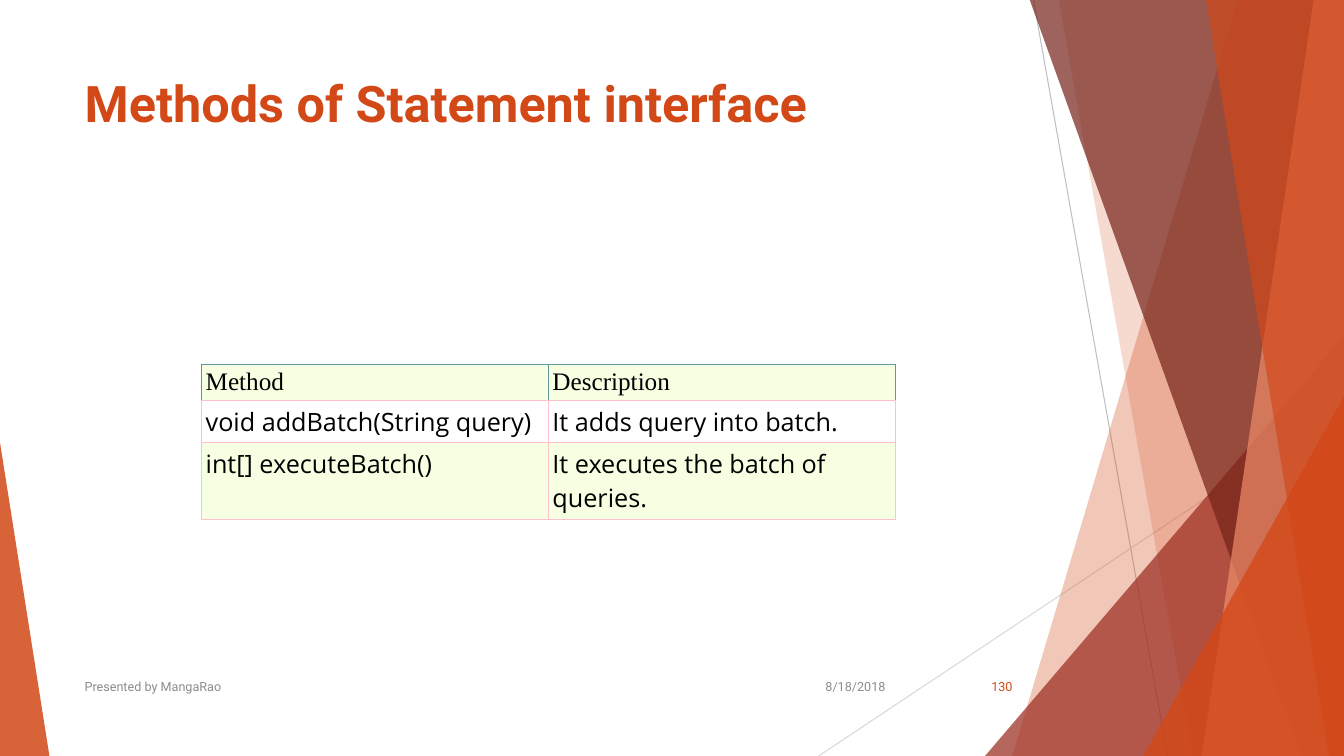
from lxml.etree import SubElement
from pptx import Presentation
from pptx.dml.color import RGBColor as RGB
from pptx.enum.shapes import MSO_CONNECTOR as LINE, MSO_SHAPE as SHAPE
from pptx.enum.text import MSO_ANCHOR as ANCHOR, PP_ALIGN as ALIGN
from pptx.oxml import parse_xml
from pptx.oxml.ns import nsdecls, qn
from pptx.util import Inches, Pt

RUST = RGB(0xD3, 0x48, 0x17)
BRICK = RGB(0x9B, 0x2D, 0x1F)
MAROON = RGB(0x74, 0x22, 0x17)
SALMON = RGB(0xEF, 0x8C, 0x6A)
SILVER = RGB(0xBF, 0xBF, 0xBF)
PALE = RGB(0xD9, 0xD9, 0xD9)
GRAY = RGB(0x8C, 0x8C, 0x8C)
LIME = RGB(0xF6, 0xFF, 0xE1)
TEAL = RGB(0x60, 0x97, 0x9A)
PINK = RGB(0xFF, 0xC0, 0xCB)
WHITE = RGB(0xFF, 0xFF, 0xFF)
BLACK = RGB(0, 0, 0)

ROWS = [
    ("Method", "Description"),
    ("void addBatch(String query)", "It adds query into batch."),
    ("int[] executeBatch()", "It executes the batch of queries."),
]


def tint(shape, color, alpha):
    """Give a shape a see-through fill, no line and no shadow."""
    shape.shadow.inherit = False
    shape.line.fill.background()
    shape.fill.solid()
    shape.fill.fore_color.rgb = color
    tone = shape.fill._xPr.find(qn("a:solidFill"))[0]
    SubElement(tone, qn("a:alpha")).set("val", str(alpha * 1000))


def write(para, text, font, size, color, bold=False):
    """Add one formatted run to a paragraph."""
    run = para.add_run()
    run.text = text
    run.font.name = font
    run.font.size = Pt(size)
    run.font.bold = bold
    run.font.color.rgb = color


def draw_ray(slide, start, end, color):
    """Draw a thin straight line between two points."""
    ray = slide.shapes.add_connector(
        LINE.STRAIGHT, *map(Inches, start + end))
    ray.line.color.rgb = color
    ray.line.width = Pt(0.75)
    SubElement(ray._element.spPr, qn("a:effectLst"))


def draw_band(slide, box, top, foot, color, alpha):
    """Draw a band from a slanted left edge to the right side of the box."""
    x, y, w, h = box
    pts = [(x + top, y), (x + w, y), (x + w, y + h), (x + foot, y + h)]
    pts = [(Inches(a), Inches(b)) for a, b in pts]
    pen = slide.shapes.build_freeform(*pts[0], scale=1.0)
    pen.add_line_segments(pts[1:], close=True)
    tint(pen.convert_to_shape(), color, alpha)


def draw_wedge(slide, box, apex, color, alpha):
    """Draw a right triangle with its apex at the left (0) or right (1)."""
    wedge = slide.shapes.add_shape(
        SHAPE.ISOSCELES_TRIANGLE, *map(Inches, box))
    wedge.adjustments[0] = apex
    tint(wedge, color, alpha)


def draw_facets(slide, box):
    """Draw the overlapping facets, placed from the left of the box."""
    x, y, w, h = box
    end, foot = x + w, y + h
    draw_ray(slide, (x + 0.48, 0), (x + 1.81, foot), SILVER)
    draw_ray(slide, (end, 4.03), (x - 1.65, foot), PALE)
    draw_band(slide, box, 2.51, 0.27, RUST, 30)
    draw_band(slide, box, 0.73, 2.06, RUST, 20)
    draw_wedge(slide, (x, foot - 4.17, w, 4.17), 1, BRICK, 72)
    draw_band(slide, box, 0.44, 3.14, MAROON, 70)
    draw_band(slide, box, 3.26, 2.15, SALMON, 70)
    draw_band(slide, box, 2.19, 3.41, RUST, 65)
    draw_wedge(slide, (end - 1.99, foot - 3.57, 1.99, 3.57), 1, RUST, 80)
    draw_wedge(slide, (0, foot - 3.11, 0.49, 3.11), 0, RUST, 85)


def fill_title(slide, box):
    """Place and fill the title, in front of the facets."""
    title = slide.shapes.title
    title.left, title.top, title.width, title.height = map(Inches, box)
    slide.shapes._spTree.append(title._element)
    frame = title.text_frame
    frame.word_wrap = True
    frame.vertical_anchor = ANCHOR.TOP
    para = frame.paragraphs[0]
    para.alignment = ALIGN.LEFT
    write(para, "Methods of Statement interface", "Roboto", 36, RUST, True)


def edge_cell(cell, colors):
    """Draw the left, right, top and bottom borders of a cell."""
    props = cell._tc.get_or_add_tcPr()
    for i, (side, color) in enumerate(zip("LRTB", colors)):
        props.insert(i, parse_xml(
            f'<a:ln{side} {nsdecls("a")} w="{Pt(0.6)}"><a:solidFill>'
            f'<a:srgbClr val="{color}"/></a:solidFill></a:ln{side}>'))


def draw_table(slide, box):
    """Draw the table of methods with a tinted head and striped rows."""
    table = slide.shapes.add_table(
        len(ROWS), 2, *map(Inches, box)).table
    for row, high in zip(table.rows, (0.36, 0.42, 0.76)):
        row.height = Inches(high)
    for r, texts in enumerate(ROWS):
        rim = TEAL if r == 0 else PINK
        font = "Open Sans" if r else "Times New Roman"
        for c, text in enumerate(texts):
            cell = table.cell(r, c)
            cell.margin_left = cell.margin_right = Inches(0.04)
            cell.margin_top = cell.margin_bottom = Inches(0.04)
            cell.fill.solid()
            cell.fill.fore_color.rgb = WHITE if r % 2 else LIME
            edge_cell(cell, (rim, rim, rim if r == 0 else PINK, PINK))
            write(cell.text_frame.paragraphs[0], text, font, 18, BLACK)


def draw_foot(slide, box):
    """Write the date, the presenter and the page number in one row."""
    x, y, w, h = box
    parts = [
        (7.14, 1, "8/18/2018", ALIGN.RIGHT, GRAY),
        (0, 6.89, "Presented by MangaRao", ALIGN.LEFT, GRAY),
        (w - 0.75, 0.75, "130", ALIGN.RIGHT, RUST),
    ]
    for left, wide, text, align, color in parts:
        note = slide.shapes.add_textbox(
            *map(Inches, (x + left, y, wide, h)))
        frame = note.text_frame
        frame.word_wrap = True
        frame.vertical_anchor = ANCHOR.MIDDLE
        para = frame.paragraphs[0]
        para.alignment = align
        write(para, text, "Roboto", 9, color)


def main():
    """Build and save the slide."""
    deck = Presentation()
    deck.slide_width, deck.slide_height = Inches(13.33), Inches(7.5)
    slide = deck.slides.add_slide(deck.slide_layouts[5])
    draw_facets(slide, (9.77, -0.01, 3.56, 7.51))
    fill_title(slide, (0.74, 0.67, 9.4, 1.44))
    draw_table(slide, (2, 3.61, 6.88, 1.54))
    draw_foot(slide, (0.74, 6.61, 9.4, 0.4))
    deck.save("out.pptx")


main()
